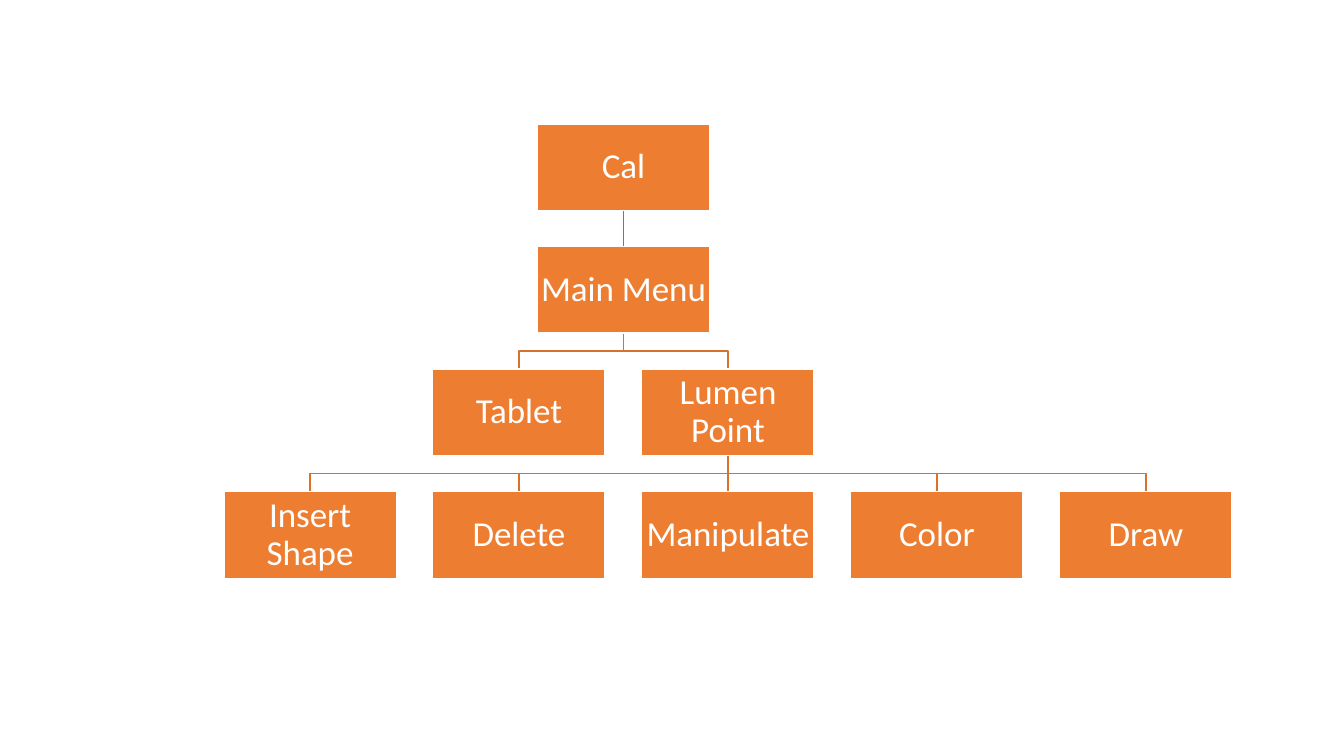
from lxml.etree import SubElement
from pptx import Presentation
from pptx.dml.color import RGBColor
from pptx.enum.shapes import MSO_CONNECTOR, MSO_SHAPE
from pptx.enum.text import MSO_ANCHOR, PP_ALIGN
from pptx.oxml.ns import qn
from pptx.util import Inches, Pt

ORANGE = RGBColor(0xED, 0x7D, 0x31)
BRANCH_ORANGE = RGBColor(0xD7, 0x71, 0x2C)
TRUNK_ORANGE = RGBColor(0xBE, 0x64, 0x27)
WHITE = RGBColor(0xFF, 0xFF, 0xFF)

LEFT, TOP = 2.22, 1.23
COLUMN_STEP, ROW_STEP = 2.0725, 1.216
BOX_WIDTH, BOX_HEIGHT = 1.71, 0.86

BOXES = {
    "Cal": (1.5, 0),
    "Main Menu": (1.5, 1),
    "Tablet": (1, 2),
    "Lumen Point": (2, 2),
    "Insert Shape": (0, 3),
    "Delete": (1, 3),
    "Manipulate": (2, 3),
    "Color": (3, 3),
    "Draw": (4, 3),
}
CHILDREN = {
    "Cal": ["Main Menu"],
    "Main Menu": ["Tablet", "Lumen Point"],
    "Lumen Point": ["Insert Shape", "Delete", "Manipulate", "Color", "Draw"],
}
FRAME_FORMAT = {
    "word_wrap": True,
    "vertical_anchor": MSO_ANCHOR.MIDDLE,
    "margin_left": Inches(0.02),
    "margin_right": Inches(0.02),
    "margin_top": Inches(0.02),
    "margin_bottom": Inches(0.02),
}
PARAGRAPH_FORMAT = {"alignment": PP_ALIGN.CENTER, "line_spacing": 0.9}
FONT_FORMAT = {"name": "Calibri", "size": Pt(25)}


def box_corner(name):
    column, row = BOXES[name]
    return Inches(LEFT + column * COLUMN_STEP), Inches(TOP + row * ROW_STEP)


def apply_format(target, values):
    for attribute, value in values.items():
        setattr(target, attribute, value)


presentation = Presentation()
presentation.slide_width = Inches(13.33)
presentation.slide_height = Inches(7.5)
slide = presentation.slides.add_slide(presentation.slide_layouts[6])

for parent, children in CHILDREN.items():
    parent_left, parent_top = box_corner(parent)
    start_x = parent_left + Inches(BOX_WIDTH / 2)
    start_y = parent_top + Inches(BOX_HEIGHT)
    for child in children:
        child_left, end_y = box_corner(child)
        end_x = child_left + Inches(BOX_WIDTH / 2)
        middle_y = (start_y + end_y) // 2
        if start_x == end_x:
            link = slide.shapes.add_connector(
                MSO_CONNECTOR.STRAIGHT, start_x, start_y, end_x, end_y)
            SubElement(link._element.spPr, qn("a:effectLst"))
        else:
            builder = slide.shapes.build_freeform(start_x, start_y)
            builder.add_line_segments(
                [(start_x, middle_y), (end_x, middle_y), (end_x, end_y)], close=False)
            link = builder.convert_to_shape()
            link.fill.background()
            link.shadow.inherit = False
        link.line.color.rgb = TRUNK_ORANGE if parent == "Cal" else BRANCH_ORANGE
        link.line.width = Pt(1)

for name in BOXES:
    left, top = box_corner(name)
    box = slide.shapes.add_shape(
        MSO_SHAPE.RECTANGLE, left, top, Inches(BOX_WIDTH), Inches(BOX_HEIGHT))
    box.shadow.inherit = False
    box.fill.solid()
    box.fill.fore_color.rgb = ORANGE
    box.line.color.rgb = WHITE
    box.line.width = Pt(1)
    apply_format(box.text_frame, FRAME_FORMAT)
    paragraph = box.text_frame.paragraphs[0]
    apply_format(paragraph, PARAGRAPH_FORMAT)
    run = paragraph.add_run()
    run.text = name
    apply_format(run.font, FONT_FORMAT)
    run.font.color.rgb = WHITE

presentation.save("out.pptx")
